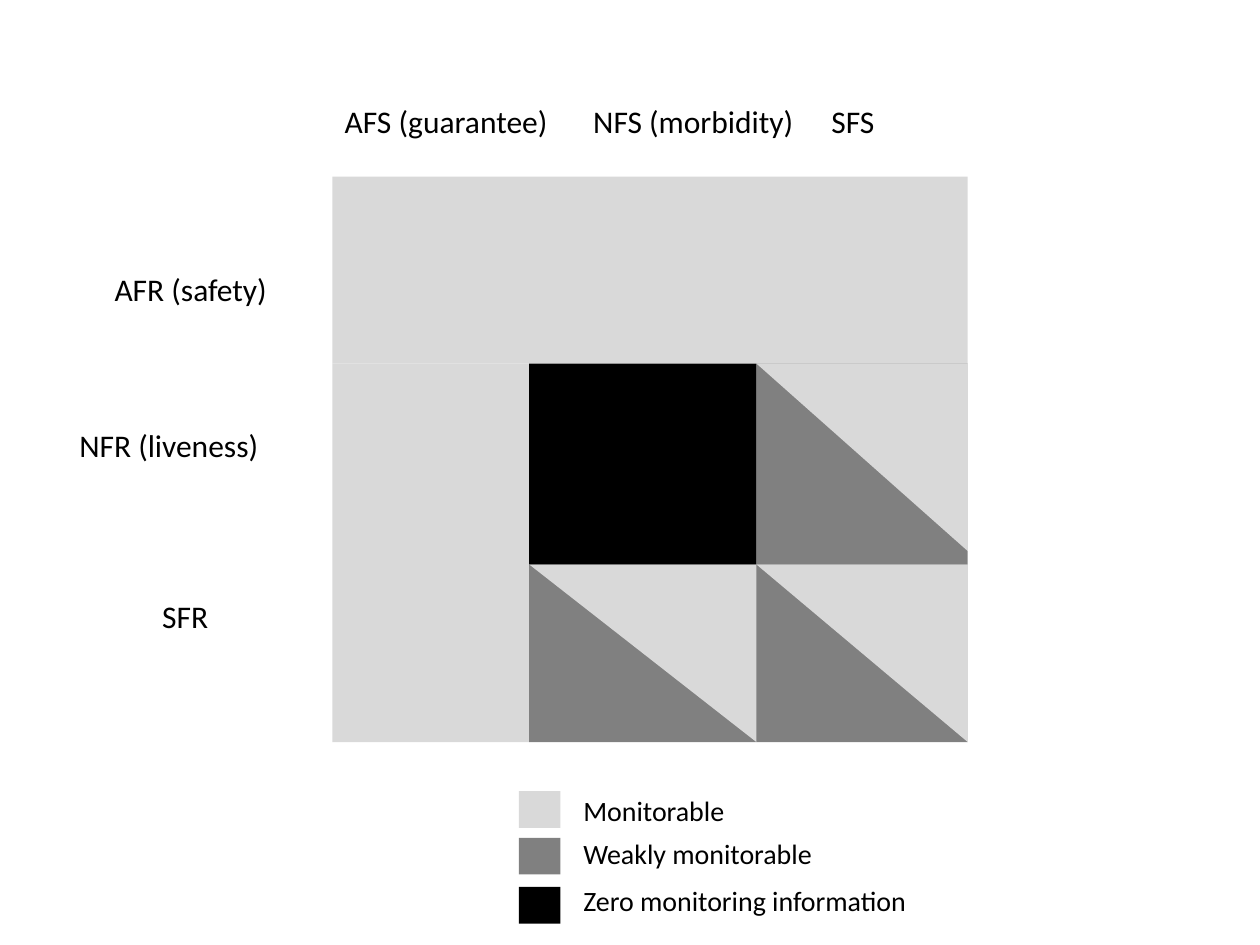
from pptx import Presentation
from pptx import util as u
from pptx.dml import color
from pptx.enum import shapes, text

LIGHT, GREY, BLACK = "D9D9D9", "808080", "000000"
RECT = shapes.MSO_SHAPE.RECTANGLE
TRIANGLE = shapes.MSO_SHAPE.RIGHT_TRIANGLE


def rgb(value):
    return color.RGBColor.from_string(value)


def add_block(page, kind, left, top, width, height, fill):
    block = page.shapes.add_shape(
        kind, u.Cm(left), u.Cm(top), u.Cm(width), u.Cm(height))
    block.shadow.inherit = False
    block.fill.solid()
    block.fill.fore_color.rgb = rgb(fill)
    block.line.fill.background()
    return block


def add_label(page, wording, left, top, width, size):
    height = 1.02 if size == 18 else 0.94
    box = page.shapes.add_textbox(u.Cm(left), u.Cm(top), u.Cm(width), u.Cm(height))
    frame = box.text_frame
    frame.word_wrap = True
    frame.auto_size = text.MSO_AUTO_SIZE.SHAPE_TO_FIT_TEXT
    frame.text = wording
    font = frame.paragraphs[0].runs[0].font
    font.name, font.size = "Calibri", u.Pt(size)
    font.color.rgb = rgb(BLACK)


def add_matrix(page, left, top):
    columns = [0, 3.97, 8.55, 12.81]
    rows = [0, 3.77, 7.82, 11.4]

    def add_cells(kind, first_column, last_column, first_row, last_row, fill, trim=0):
        x, y = columns[first_column], rows[first_row]
        return add_block(page, kind, left + x, top + y, columns[last_column] - x,
                         rows[last_row] - y - trim, fill)

    # Rectangular areas
    add_cells(RECT, 0, 3, 0, 1, LIGHT)
    add_cells(RECT, 0, 1, 1, 3, LIGHT)
    add_cells(RECT, 1, 3, 2, 3, GREY)
    add_cells(RECT, 2, 3, 1, 2, GREY)

    # Upper right halves of the split cells
    for column, row, trim in [(2, 2, 0), (1, 2, 0), (2, 1, 0.27)]:
        half = add_cells(TRIANGLE, column, column + 1, row, row + 1, LIGHT, trim)
        half.rotation = 180
    add_cells(RECT, 1, 2, 1, 2, BLACK)

    # Column and row headings
    for wording, x, y, width in [
        ("AFS (guarantee)", 0, -1.63, 5),
        ("NFS (morbidity)", 5.01, -1.63, 4.57),
        ("SFS", 9.81, -1.63, 1.9),
        ("AFR (safety)", -4.64, 1.75, 3.81),
        ("NFR (liveness)", -5.35, 4.9, 4.57),
        ("SFR", -3.68, 8.35, 1.9),
    ]:
        add_label(page, wording, left + x, top + y, width, 18)


def add_legend(page, left, top):
    for wording, fill, swatch_top, label_top, width in [
        ("Monitorable", LIGHT, 0, -0.07, 4.6),
        ("Weakly monitorable", GREY, 0.94, 0.79, 6.71),
        ("Zero monitoring information", BLACK, 1.93, 1.73, 7.6),
    ]:
        add_block(page, RECT, left, top + swatch_top, 0.84, 0.74, fill)
        add_label(page, wording, left + 1.05, top + label_top, width, 16)


deck = Presentation()
deck.slide_width, deck.slide_height = u.Cm(25.4), u.Cm(19.05)
page = deck.slides.add_slide(deck.slide_layouts[6])
add_matrix(page, 6.7, 3.56)
add_legend(page, 10.46, 15.95)
deck.save("out.pptx")
